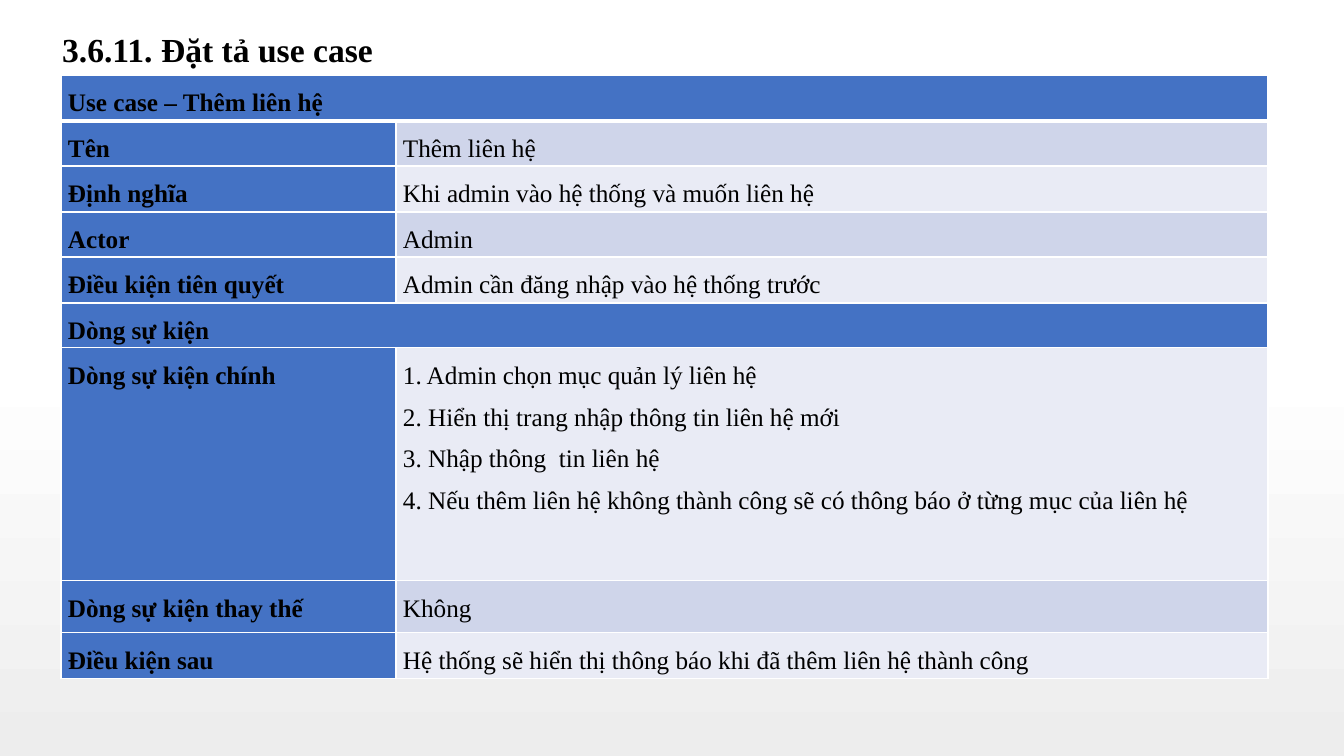
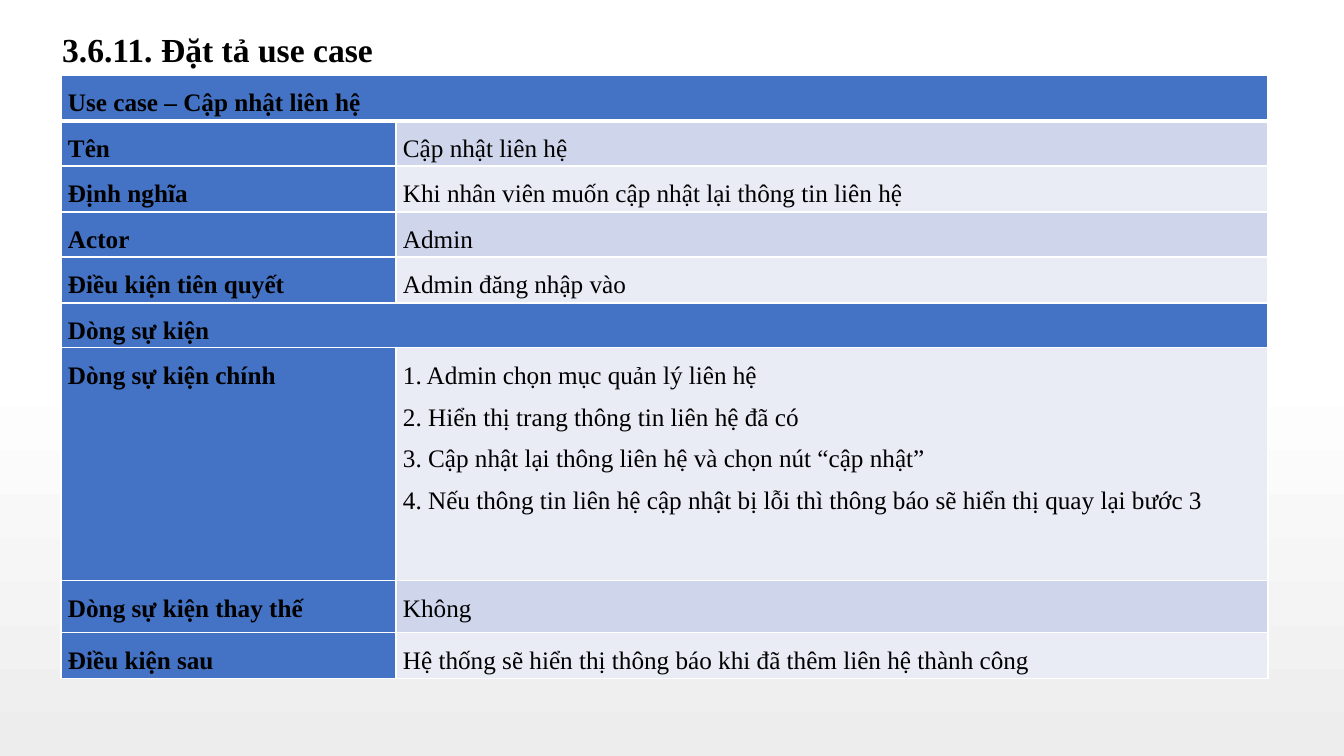
from lxml import etree
from pptx import Presentation
from pptx import util as u
from pptx.dml.color import RGBColor
from pptx.enum import text as t
from pptx.oxml import ns

PX = 914400 / 100.8
FONT = "Times New Roman"
BLACK = RGBColor(0x00, 0x00, 0x00)
WHITE = RGBColor(0xFF, 0xFF, 0xFF)
GREY = RGBColor(0xED, 0xED, 0xED)
BLUE = RGBColor(0x44, 0x72, 0xC4)
BAND_DARK = RGBColor(0xCF, 0xD5, 0xEA)
BAND_LIGHT = RGBColor(0xE9, 0xEB, 0xF5)

TITLE = "3.6.11. Đặt tả use case"
COLUMNS = [335, 872]
ROWS = [46, 45, 46, 45, 46, 45, 233, 52, 46]
LABELS = ["Tên", "Định nghĩa", "Actor", "Điều kiện tiên quyết", "Dòng sự kiện",
          "Dòng sự kiện chính", "Dòng sự kiện thay thế", "Điều kiện sau"]
DONE = "Hệ thống sẽ hiển thị thông báo khi đã thêm liên hệ thành công"
USE_CASES = [
    ["Thêm liên hệ",
     "Khi admin vào hệ thống và muốn liên hệ",
     "Admin",
     "Admin cần đăng nhập vào hệ thống trước",
     None,
     ["1. Admin chọn mục quản lý liên hệ",
      "2. Hiển thị trang nhập thông tin liên hệ mới",
      "3. Nhập thông  tin liên hệ",
      "4. Nếu thêm liên hệ không thành công sẽ có thông báo ở từng mục của liên hệ"],
     "Không",
     DONE],
    ["Cập nhật liên hệ",
     "Khi nhân viên muốn cập nhật lại thông tin liên hệ",
     "Admin",
     "Admin đăng nhập vào",
     None,
     ["1. Admin chọn mục quản lý liên hệ",
      "2. Hiển thị trang thông tin liên hệ đã có",
      "3. Cập nhật lại thông liên hệ và chọn nút “cập nhật”",
      "4. Nếu thông tin liên hệ cập nhật bị lỗi thì thông báo sẽ hiển thị quay lại bước 3"],
     "Không",
     DONE],
]


def px(length):
    return u.Emu(round(length * PX))


def write(frame, content, size=18, bold=False, align=t.PP_ALIGN.LEFT, spacing=1.5):
    lines = [content] if isinstance(content, str) else content
    for index, line in enumerate(lines):
        para = frame.add_paragraph() if index else frame.paragraphs[0]
        para.alignment = align
        para.line_spacing = spacing
        para.space_before = u.Pt(0)
        span = para.add_run()
        span.text = line
        span.font.name = FONT
        span.font.size = u.Pt(size)
        span.font.bold = bold
        span.font.color.rgb = BLACK


class UseCaseDeck:
    def __init__(self):
        self.deck = Presentation()
        self.deck.slide_width = px(1344)
        self.deck.slide_height = px(756)
        self.page = None
        fill = self.deck.slide_master.background.fill
        fill.gradient()
        fill.gradient_angle = 270
        for stop, color, position in zip(fill.gradient_stops, (WHITE, GREY), (0.48, 1)):
            stop.color.rgb = color
            stop.position = position

    def add_page(self):
        self.page = self.deck.slides.add_slide(self.deck.slide_layouts[5])

    def add_title(self, content):
        box = self.page.shapes.title
        box.left, box.top, box.width, box.height = px(52), px(24), px(982), px(50)
        box.text_frame.vertical_anchor = t.MSO_ANCHOR.MIDDLE
        write(box.text_frame, content, size=24, bold=True, spacing=1)

    def add_borders(self, cell, top=1, bottom=1):
        properties = cell._tc.get_or_add_tcPr()
        for side, width in (("L", 1), ("R", 1), ("T", top), ("B", bottom)):
            line = etree.SubElement(properties, ns.qn(f"a:ln{side}"), w=str(u.Pt(width)))
            solid = etree.SubElement(line, ns.qn("a:solidFill"))
            etree.SubElement(solid, ns.qn("a:srgbClr"), val=str(WHITE))

    def add_cell(self, cell, content, color, **style):
        cell.margin_left = cell.margin_right = px(7)
        cell.margin_top = cell.margin_bottom = 0
        cell.fill.solid()
        cell.fill.fore_color.rgb = color
        if content:
            write(cell.text_frame, content, **style)

    def add_use_case(self, values):
        frame = self.page.shapes.add_table(len(ROWS), len(COLUMNS), px(61), px(75),
                                           px(sum(COLUMNS)), px(sum(ROWS)))
        table = frame.table
        for column, width in zip(table.columns, COLUMNS):
            column.width = px(width)
        for row, height in zip(table.rows, ROWS):
            row.height = px(height)
        entries = [(f"Use case – {values[0]}", None), *zip(LABELS, values)]
        for index, (label, value) in enumerate(entries):
            label_cell, value_cell = table.cell(index, 0), table.cell(index, 1)
            for cell in (label_cell, value_cell):
                self.add_borders(cell, top=3 if index == 1 else 1,
                                 bottom=3 if index == 0 else 1)
            band = BAND_DARK if index % 2 else BAND_LIGHT
            self.add_cell(label_cell, label, BLUE, bold=True)
            self.add_cell(value_cell, value, band if value else BLUE,
                          align=t.PP_ALIGN.JUSTIFY)
            if value is None:
                label_cell.merge(value_cell)


def main():
    builder = UseCaseDeck()
    for values in USE_CASES:
        builder.add_page()
        builder.add_title(TITLE)
        builder.add_use_case(values)
    builder.deck.save("out.pptx")


if __name__ == "__main__":
    main()
